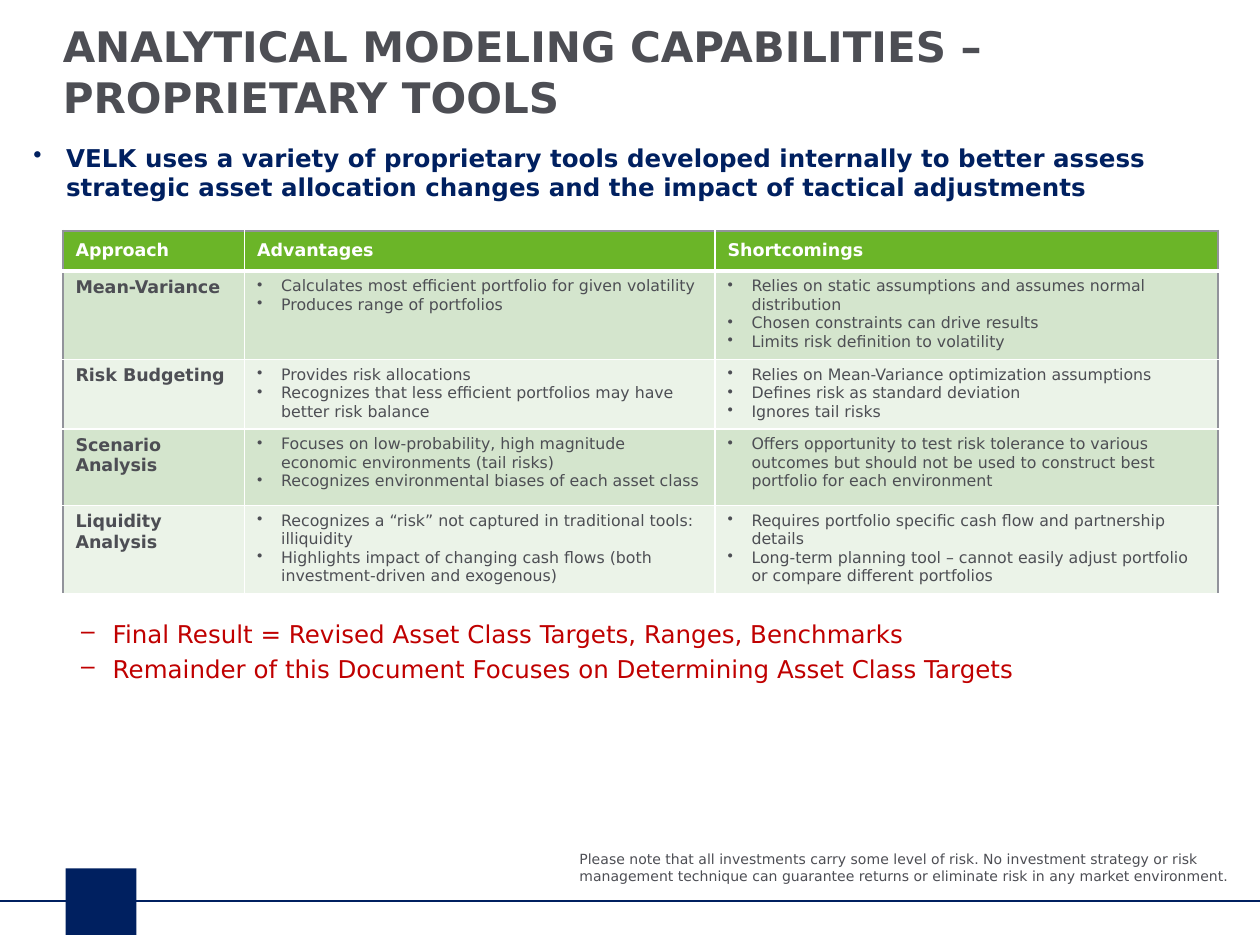
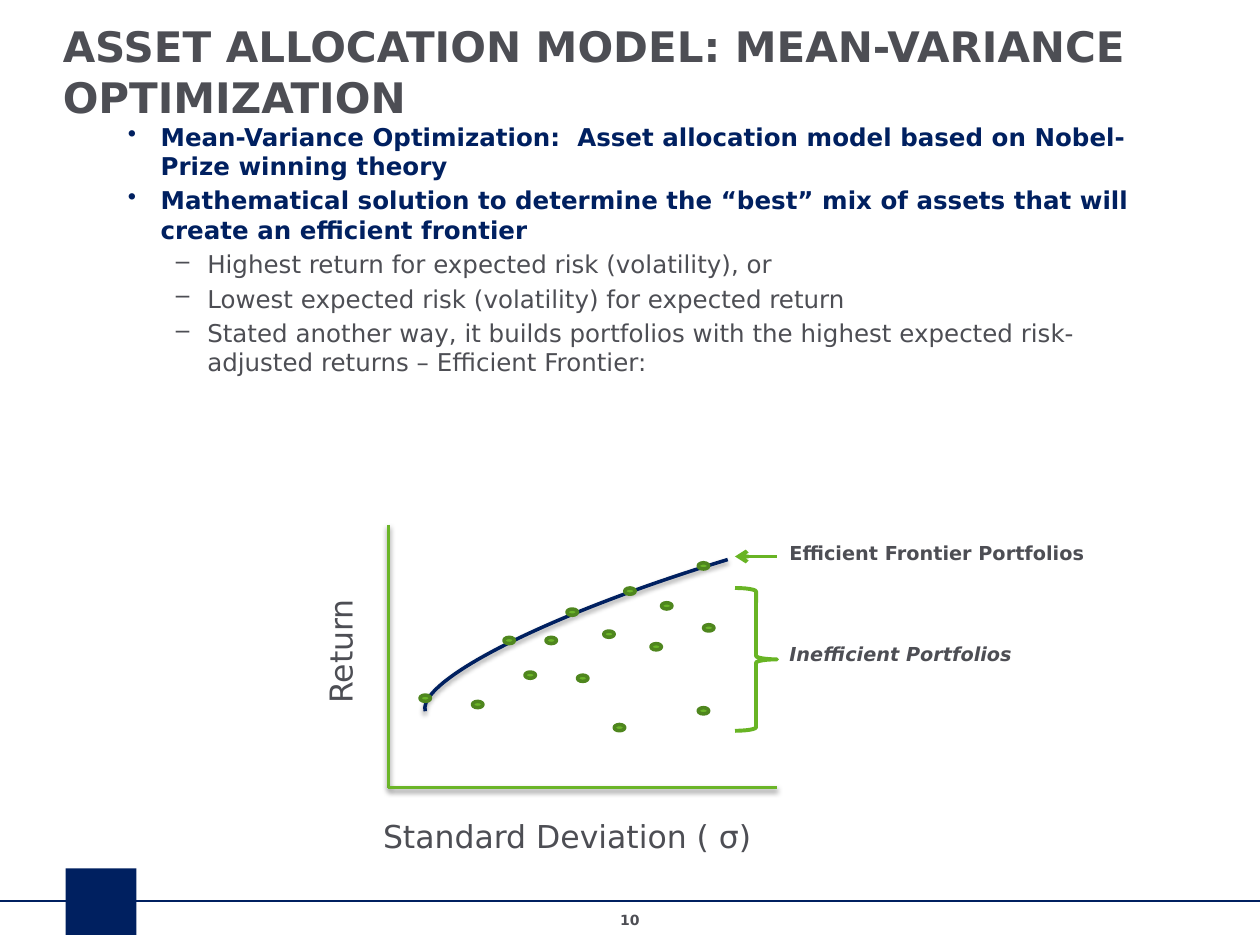
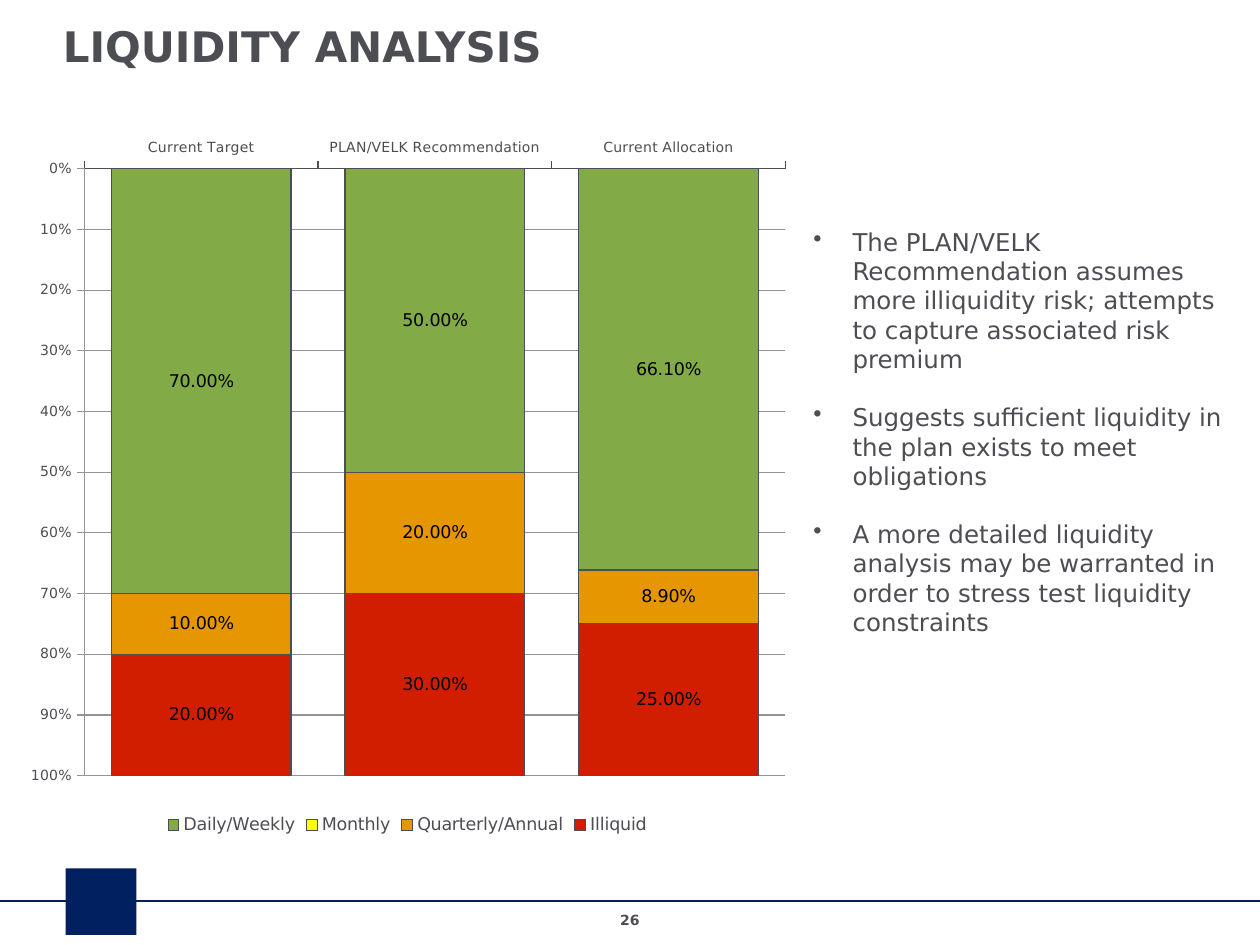
"""Build three slides on asset allocation modelling tools."""
import collections

import lxml.etree
import pptx
import pptx.chart.data
import pptx.dml.color
import pptx.enum.chart
import pptx.enum.shapes
import pptx.enum.text
import pptx.oxml
import pptx.oxml.ns
import pptx.util

RGB = pptx.dml.color.RGBColor
Pt = pptx.util.Pt
SHAPE = pptx.enum.shapes.MSO_SHAPE
qn = pptx.oxml.ns.qn

WHITE = RGB(0xFF, 0xFF, 0xFF)
BLACK = RGB(0x00, 0x00, 0x00)
NAVY = RGB(0x00, 0x20, 0x60)
GREY = RGB(0x4D, 0x4E, 0x54)
RULE = RGB(0x92, 0x93, 0x9B)
GREEN = RGB(0x6B, 0xB5, 0x28)
MARK = RGB(0x68, 0xB4, 0x24)
DOT_EDGE = RGB(0x4F, 0x86, 0x1E)
RED = RGB(0xC0, 0x00, 0x00)
BAND_DARK = RGB(0xD4, 0xE5, 0xCD)
BAND_LIGHT = RGB(0xEB, 0xF3, 0xE8)
DAILY = RGB(0x82, 0xAA, 0x46)
MONTHLY = RGB(0xFF, 0xFF, 0x00)
QUARTERLY = RGB(0xE6, 0x96, 0x00)
ILLIQUID = RGB(0xD2, 0x1E, 0x00)

FONT = "DejaVu Sans"
COLS, ROWS = 120, 90

Style = collections.namedtuple(
    "Style", "size color bold italic bullet margin hang before align",
    defaults=(GREY, False, False, None, 0, 0, 0, None))
CENTER = pptx.enum.text.PP_ALIGN.CENTER
TITLE = Style(24, bold=True)
POINT = Style(14, NAVY, True, bullet="•", margin=0.26, hang=0.26, before=2.8)
SUBPOINT = Style(14, bullet="–", margin=0.63, hang=0.25, before=2.8)
RESULT = SUBPOINT._replace(color=RED)
REMARK = Style(14, bullet="•", margin=0.31, hang=0.31, before=16.3)
HEAD = Style(10, WHITE, True)
ROW_NAME = Style(10, bold=True)
CELL = Style(9, bullet="•", margin=0.19, hang=0.19)
NOTE = Style(8)
PAGE = Style(8, bold=True, align=CENTER)
AXIS = Style(18)
LABEL = Style(11, bold=True)


class Deck:
    """Hold the presentation, its grid and the current slide."""

    def __init__(self):
        self.prs = pptx.Presentation()
        self.prs.slide_width = pptx.util.Inches(10)
        self.prs.slide_height = pptx.util.Inches(7.5)
        self.s = None

    def x(self, cols):
        return round(self.prs.slide_width * cols / COLS)

    def y(self, rows):
        return round(self.prs.slide_height * rows / ROWS)

    def box(self, left, top, width, height):
        return self.x(left), self.y(top), self.x(width), self.y(height)

    def slide(self, title, page=None):
        self.s = self.prs.slides.add_slide(self.prs.slide_layouts[6])
        self.line((0, 85.8), (COLS, 85.8), NAVY, 1.5)
        self.shape(SHAPE.RECTANGLE, (6.25, 82.7, 6.75, 6.35), fill=NAVY)
        self.text((4.8, 1.4, 108, 5.5), [(title, TITLE)])
        if page:
            self.text((46, 86.2, 28, 2.9), [(page, PAGE)])

    def effect(self, sp, shadow):
        effects = lxml.etree.SubElement(sp._element.spPr, qn("a:effectLst"))
        if shadow:
            outer = lxml.etree.SubElement(
                effects, qn("a:outerShdw"), blurRad=str(Pt(3.1)),
                dist=str(Pt(1.6)), dir="5400000", rotWithShape="0")
            color = lxml.etree.SubElement(outer, qn("a:srgbClr"), val=str(BLACK))
            lxml.etree.SubElement(color, qn("a:alpha"), val="38000")

    def line(self, start, end, color, width, shadow=False, arrow=False):
        sp = self.s.shapes.add_connector(
            pptx.enum.shapes.MSO_CONNECTOR.STRAIGHT,
            self.x(start[0]), self.y(start[1]), self.x(end[0]), self.y(end[1]))
        sp.line.color.rgb = color
        sp.line.width = Pt(width)
        if arrow:
            ln = sp._element.spPr.find(qn("a:ln"))
            lxml.etree.SubElement(ln, qn("a:tailEnd"), type="arrow")
        self.effect(sp, shadow)

    def shape(self, kind, place, fill=None, line=None, width=2, turn=0, shadow=False):
        sp = self.s.shapes.add_shape(kind, *self.box(*place))
        sp.rotation = turn
        if fill is None:
            sp.fill.background()
        else:
            sp.fill.solid()
            sp.fill.fore_color.rgb = fill
        if line is None:
            sp.line.fill.background()
        else:
            sp.line.color.rgb = line
            sp.line.width = Pt(width)
        self.effect(sp, shadow)

    def paragraphs(self, tf, items):
        for i, (text, style) in enumerate(items):
            p = tf.add_paragraph() if i else tf.paragraphs[0]
            if style.bullet:
                pPr = p._p.get_or_add_pPr()
                pPr.set("marL", str(pptx.util.Inches(style.margin)))
                pPr.set("indent", str(-pptx.util.Inches(style.hang)))
                lxml.etree.SubElement(pPr, qn("a:buChar"), char=style.bullet)
            if i and style.before:
                p.space_before = Pt(style.before)
            if style.align is not None:
                p.alignment = style.align
            r = p.add_run()
            r.text = text
            self.font(r.font, style)

    def font(self, font, style):
        font.name = FONT
        font.size = Pt(style.size)
        font.bold = style.bold
        font.italic = style.italic
        font.color.rgb = style.color

    def text(self, place, items, vertical=False):
        tf = self.s.shapes.add_textbox(*self.box(*place)).text_frame
        tf.word_wrap = True
        if vertical:
            tf._txBody.bodyPr.set("vert", "vert270")
        self.paragraphs(tf, items)

    def border(self, cell, edges):
        tcPr = cell._tc.get_or_add_tcPr()
        for i, (side, (color, width)) in enumerate(edges):
            ln = lxml.etree.Element(qn("a:ln" + side), w=str(Pt(width)))
            fill = lxml.etree.SubElement(ln, qn("a:solidFill"))
            lxml.etree.SubElement(fill, qn("a:srgbClr"), val=str(color))
            tcPr.insert(i, ln)

    def table(self, left, top, widths, heights, rows):
        tbl = self.s.shapes.add_table(
            len(rows), len(widths),
            *self.box(left, top, sum(widths), sum(heights))).table
        for column, width in zip(tbl.columns, widths):
            column.width = self.x(width)
        for row, height in zip(tbl.rows, heights):
            row.height = self.y(height)
        outer, inner, heavy = (RULE, 1.5), (WHITE, 1), (WHITE, 3)
        for i, row in enumerate(rows):
            for j, lines in enumerate(row):
                cell = tbl.cell(i, j)
                style = HEAD if i == 0 else ROW_NAME if j == 0 else CELL
                cell.fill.solid()
                cell.fill.fore_color.rgb = (
                    GREEN if i == 0 else BAND_DARK if i % 2 else BAND_LIGHT)
                if i == 0:
                    cell.vertical_anchor = pptx.enum.text.MSO_ANCHOR.MIDDLE
                self.border(cell, [
                    ("L", outer if j == 0 else inner),
                    ("R", outer if j == len(row) - 1 else inner),
                    ("T", outer if i == 0 else heavy if i == 1 else inner),
                    ("B", heavy if i == 0 else inner)])
                self.paragraphs(cell.text_frame, [(line, style) for line in lines])

    def chart(self, place, categories, series, plot_area):
        data = pptx.chart.data.CategoryChartData(number_format="0.00%")
        data.categories = categories
        for name, values, _ in series:
            data.add_series(name, values)
        chart = self.s.shapes.add_chart(
            pptx.enum.chart.XL_CHART_TYPE.COLUMN_STACKED,
            *self.box(*place), data).chart
        self.font(chart.font, Style(10))
        chart.has_title = False
        chart.has_legend = True
        chart.legend.position = pptx.enum.chart.XL_LEGEND_POSITION.BOTTOM
        chart.legend.include_in_layout = False
        plot = chart.plots[0]
        plot.gap_width, plot.overlap = 30, 100
        plot.vary_by_categories = False
        for ser, (_, values, color) in zip(plot.series, series):
            ser.format.fill.solid()
            ser.format.fill.fore_color.rgb = color
            ser.format.line.color.rgb = GREY
            ser.format.line.width = Pt(0.75)
            if any(values):
                labels = ser.data_labels
                labels.show_value = True
                labels.number_format = "0.00%"
                labels.number_format_is_linked = False
                self.font(labels.font, Style(10, BLACK))
        for axis, color in ((chart.category_axis, GREY), (chart.value_axis, RULE)):
            self.font(axis.tick_labels.font, Style(8))
            axis.major_tick_mark = pptx.enum.chart.XL_TICK_MARK.OUTSIDE
            axis.format.line.color.rgb = color
            axis.format.line.width = Pt(0.75)
        axis = chart.value_axis
        axis.minimum_scale, axis.maximum_scale, axis.major_unit = 0, 1, 0.1
        axis.reverse_order = True
        axis.tick_labels.number_format = "0%"
        axis.tick_labels.number_format_is_linked = False
        axis.major_gridlines.format.line.color.rgb = RULE
        axis.major_gridlines.format.line.width = Pt(0.75)
        self.place_plot(chart, plot_area)

    def place_plot(self, chart, shares):
        area = chart._chartSpace.find(".//" + qn("c:plotArea"))
        for old in area.findall(qn("c:layout")):
            area.remove(old)
        layout = lxml.etree.Element(qn("c:layout"))
        manual = lxml.etree.SubElement(layout, qn("c:manualLayout"))
        settings = [("layoutTarget", "inner"), ("xMode", "edge"), ("yMode", "edge")]
        for tag, value in settings + list(zip("xywh", shares)):
            lxml.etree.SubElement(manual, qn("c:" + tag), val=str(value))
        area.insert(0, layout)


def tools_slide(deck):
    deck.slide("ANALYTICAL MODELING CAPABILITIES – PROPRIETARY TOOLS")
    deck.text((2, 13, 114, 7), [
        ("VELK uses a variety of proprietary tools developed internally to better "
         "assess strategic asset allocation changes and the impact of tactical "
         "adjustments", POINT)])
    deck.table(6, 22, (17.3, 44.8, 47.9), (3.8, 7.3, 5.8, 7.3, 7.3), [
        (["Approach"], ["Advantages"], ["Shortcomings"]),
        (["Mean-Variance"],
         ["Calculates most efficient portfolio for given volatility",
          "Produces range of portfolios"],
         ["Relies on static assumptions and assumes normal distribution",
          "Chosen constraints can drive results",
          "Limits risk definition to volatility"]),
        (["Risk Budgeting"],
         ["Provides risk allocations",
          "Recognizes that less efficient portfolios may have better risk balance"],
         ["Relies on Mean-Variance optimization assumptions",
          "Defines risk as standard deviation",
          "Ignores tail risks"]),
        (["Scenario Analysis"],
         ["Focuses on low-probability, high magnitude economic environments "
          "(tail risks)",
          "Recognizes environmental biases of each asset class"],
         ["Offers opportunity to test risk tolerance to various outcomes but should "
          "not be used to construct best portfolio for each environment"]),
        (["Liquidity Analysis"],
         ["Recognizes a “risk” not captured in traditional tools: illiquidity",
          "Highlights impact of changing cash flows (both investment-driven and "
          "exogenous)"],
         ["Requires portfolio specific cash flow and partnership details",
          "Long-term planning tool – cannot easily adjust portfolio or compare "
          "different portfolios"]),
    ])
    deck.text((2, 58.4, 114, 7), [
        ("Final Result = Revised Asset Class Targets, Ranges, Benchmarks", RESULT),
        ("Remainder of this Document Focuses on Determining Asset Class Targets",
         RESULT)])
    deck.text((54, 80.4, 70, 4.4), [
        ("Please note that all investments carry some level of risk. No investment "
         "strategy or risk management technique can guarantee returns or eliminate "
         "risk in any market environment.", NOTE)])


def frontier_slide(deck):
    deck.slide("ASSET ALLOCATION MODEL: MEAN-VARIANCE OPTIMIZATION", "10")
    deck.text((11, 11, 98, 26), [
        ("Mean-Variance Optimization:  Asset allocation model based on Nobel-Prize "
         "winning theory", POINT),
        ("Mathematical solution to determine the “best” mix of assets that will "
         "create an efficient frontier", POINT),
        ("Highest return for expected risk (volatility), or", SUBPOINT),
        ("Lowest expected risk (volatility) for expected return", SUBPOINT),
        ("Stated another way, it builds portfolios with the highest expected "
         "risk-adjusted returns – Efficient Frontier:", SUBPOINT)])
    origin = (37, 75)
    deck.line((37, 50), origin, GREEN, 2, shadow=True)
    deck.line(origin, (74, 75), GREEN, 2, shadow=True)
    deck.shape(SHAPE.ARC, (65.4, 26.8, 11, 63.5), line=NAVY, turn=253.2, shadow=True)
    efficient = [(40, 66.2), (48, 60.7), (54, 58), (59.5, 56), (66.5, 53.6)]
    inefficient = [(50, 64), (58.5, 69), (62, 61.3), (57.5, 60.1), (45, 66.8),
                   (55, 64.3), (52, 60.7), (67, 59.5), (66.5, 67.4), (63, 57.4)]
    for left, top in efficient + inefficient:
        deck.shape(SHAPE.OVAL, (left, top, 1, 0.6), fill=GREEN, line=DOT_EDGE)
    deck.text((30, 54.8, 6, 13.4), [("Return", AXIS)], vertical=True)
    deck.text((35.3, 77.2, 42, 4.8), [("Standard Deviation ( σ)", AXIS)])
    deck.line((74, 53), (70, 53), MARK, 2.25, arrow=True)
    deck.text((74, 51, 33, 3.5), [("Efficient Frontier Portfolios", LABEL)])
    deck.text((74, 60.6, 29, 3.5),
              [("Inefficient Portfolios", LABEL._replace(italic=True))])
    deck.shape(SHAPE.RIGHT_BRACE, (70, 56, 4, 13.6), line=MARK, width=2.25)


def liquidity_slide(deck):
    deck.slide("LIQUIDITY ANALYSIS", "26")
    deck.text((76.3, 21, 42, 43.7), [
        ("The PLAN/VELK Recommendation assumes more illiquidity risk; attempts to "
         "capture associated risk premium", REMARK),
        ("Suggests sufficient liquidity in the plan exists to meet obligations",
         REMARK),
        ("A more detailed liquidity analysis may be warranted in order to stress "
         "test liquidity constraints", REMARK)])
    deck.chart(
        (1.3, 12, 75, 68),
        ["Current Target", "PLAN/VELK Recommendation", "Current Allocation"],
        [("Daily/Weekly", (0.7, 0.5, 0.661), DAILY),
         ("Monthly", (0, 0, 0), MONTHLY),
         ("Quarterly/Annual", (0.1, 0.2, 0.089), QUARTERLY),
         ("Illiquid", (0.2, 0.3, 0.25), ILLIQUID)],
        (0.09, 0.06, 0.89, 0.85))


def main():
    deck = Deck()
    tools_slide(deck)
    frontier_slide(deck)
    liquidity_slide(deck)
    deck.prs.save("out.pptx")


if __name__ == "__main__":
    main()
